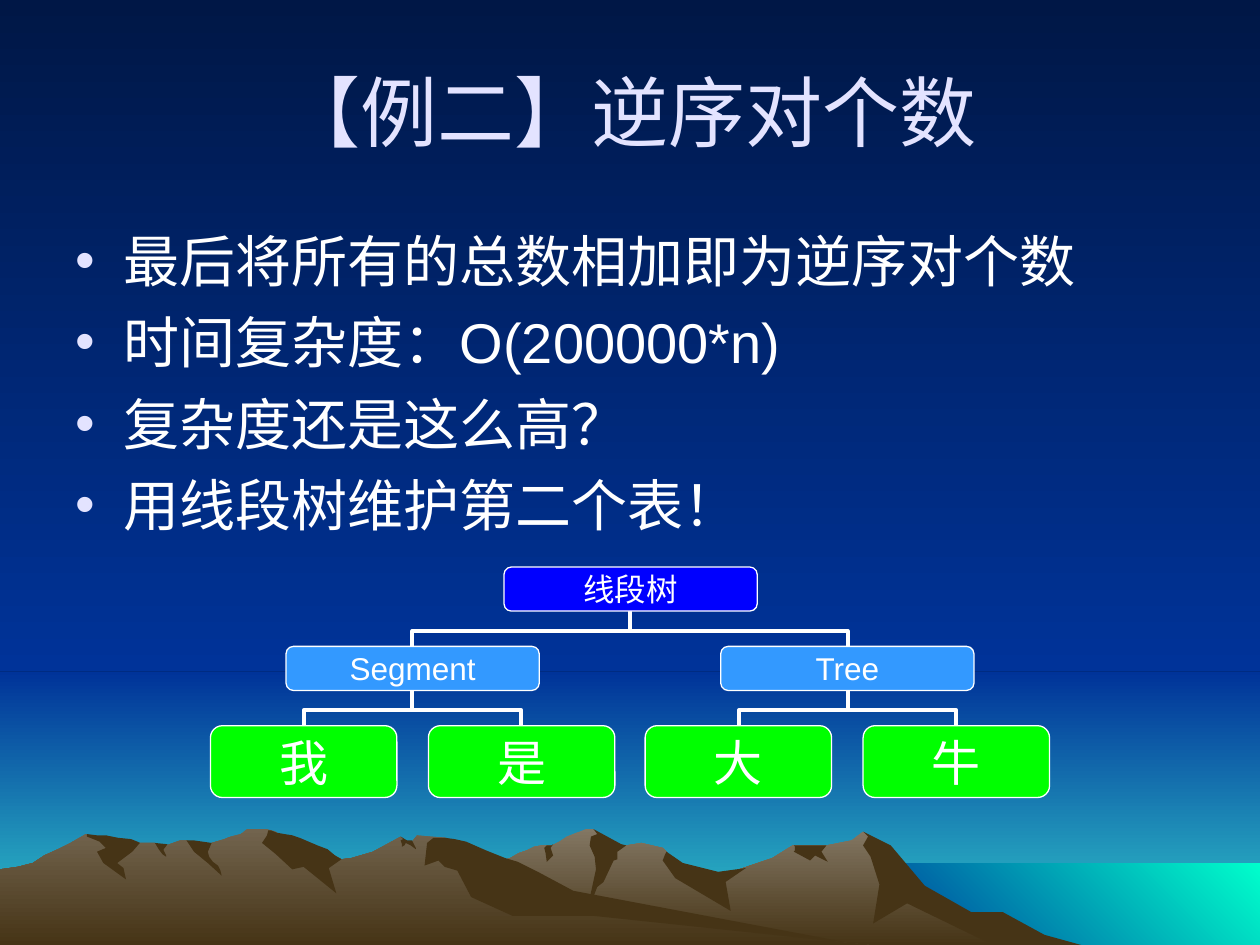
from dataclasses import dataclass

from lxml.etree import SubElement
from pptx import Presentation
from pptx.dml.color import RGBColor
from pptx.enum.shapes import MSO_CONNECTOR, MSO_SHAPE
from pptx.enum.text import MSO_ANCHOR, PP_ALIGN
from pptx.oxml.ns import qn
from pptx.util import Pt

PX = 9144  # EMU per px, 100 px to the inch


@dataclass(frozen=True)
class Theme:
    font: str = "Arial"
    title_size: int = 44
    body_size: int = 32
    branch_size: int = 18
    leaf_size: int = 28
    title: str = "E3E3FF"
    text: str = "FFFFFF"
    root: str = "0000FF"
    branch: str = "3399FF"
    leaf: str = "00FF00"
    night: tuple = ("001746", "003399")
    dusk: tuple = ("003399", "33CCCC")
    sea: tuple = ("00FFCC", "003399")
    far_rock: tuple = ("837763", "463416")
    near_rock: tuple = ("72644E", "463416")
    shade: str = "463416"


THEME = Theme()

FAR_RIDGE = """802,740 778,727 764,723 723,698 702,671 685,660 676,667 656,671 629,671 613,681 566,697
    536,690 529,676 526,673 509,669 497,671 486,673 474,661 471,658 465,658 450,664 444,668 438,671
    430,671 424,672 418,675 412,677 405,681 399,683 394,685 355,698 327,709 277,739 258,750 820,750"""
FAR_SHADES = [
    """796,724 771,724 734,703 707,671 685,660 689,664 685,671 691,680 698,702 693,733 720,717
    788,750 858,750 829,742""",
    """471,658 474,662 469,664 468,671 472,680 473,690 465,727 474,704 479,700 487,683 490,682
    490,676 497,671 493,670""",
    "529,676 528,678 526,683 536,697 580,723 576,700 592,689 570,692 542,685",
    "650,671 630,671 631,672 631,675 630,676 643,683 647,679 657,684 652,676 656,671",
    "433,677 432,673 434,671 438,671 439,670 437,673 439,679 434,684",
]
NEAR_RIDGE = """690,750 667,748 432,712 354,665 331,663 327,668 323,668 318,664 296,676 279,681 271,682
    260,676 236,681 223,663 219,660 212,658 196,658 191,662 183,664 178,666 168,669 160,671 148,667
    143,667 132,671 128,671 123,669 111,669 94,671 68,662 56,669 46,674 35,679 26,685 14,688 0,690
    0,750"""
NEAR_SHADES = [
    """212,663 208,669 219,678 232,690 241,688 267,709 261,689 271,682 266,679 260,674 252,671
    245,668 238,665 232,663 226,662 220,661 215,659 213,659""",
    """370,668 361,666 354,665 344,665 339,669 337,687 348,683 353,688 363,691 374,712 407,727
    472,727 690,750 683,750 455,707 427,692 411,684 401,681 386,675""",
    """318,667 320,666 318,664 323,667 327,667 330,673 330,674 326,671 322,669 321,671 319,672
    319,670""",
    """154,667 161,668 168,669 165,676 166,680 169,684 173,687 175,691 176,695 165,685 154,676
    148,667""",
    "133,670 130,674 130,675 132,679 132,680 129,678 126,674 123,669",
    """109,668 111,669 105,676 93,685 98,689 100,698 82,685 77,676 84,673 79,668 69,664 69,662
    77,663 84,663 94,665 104,666""",
]

TITLE = "【例二】逆序对个数"
POINTS = [
    "最后将所有的总数相加即为逆序对个数",
    "时间复杂度：O(200000*n)",
    "复杂度还是这么高？",
    "用线段树维护第二个表！",
]
TREE_LEVELS = [
    dict(labels=["线段树"], top=0, width=201, height=35, color=THEME.root, size=THEME.branch_size),
    dict(labels=["Segment", "Tree"], top=63, width=201, height=35, color=THEME.branch,
         size=THEME.branch_size),
    dict(labels=["我", "是", "大", "牛"], top=126, width=148, height=57, color=THEME.leaf,
         size=THEME.leaf_size),
]


def apply_format(target, **values):
    for name, value in values.items():
        setattr(target, name, value)


def paint(fill, color, angle=270):
    """Fill with one colour, or with a pair as a linear gradient."""
    if isinstance(color, str):
        fill.solid()
        fill.fore_color.rgb = RGBColor.from_string(color)
        return
    fill.gradient()
    fill.gradient_angle = angle
    for stop, stop_color in zip(fill.gradient_stops, color):
        stop.color.rgb = RGBColor.from_string(stop_color)


def add_preset(slide, kind, box, color, angle=270):
    shape = slide.shapes.add_shape(kind, *(round(length) * PX for length in box))
    shape.shadow.inherit = False
    shape.line.fill.background()
    paint(shape.fill, color, angle)
    return shape


def write(paragraph, text, size, color):
    run = paragraph.add_run()
    run.text = text
    apply_format(run.font, name=THEME.font, size=Pt(size))
    run.font.color.rgb = RGBColor.from_string(color)


def add_outline(slide, box, outline, color):
    """Draw a closed outline whose points count from the corner of the box."""
    points = [tuple(map(int, pair.split(","))) for pair in outline.split()]
    builder = slide.shapes.build_freeform(*points[0], scale=PX)
    builder.add_line_segments(points[1:], close=True)
    shape = builder.convert_to_shape(box[0] * PX, box[1] * PX)
    shape.shadow.inherit = False
    shape.line.fill.background()
    paint(shape.fill, color)


def add_landscape(slide, box):
    left, top, width, height = box
    horizon, shore, sea_top = 533, 683, 685
    bands = [
        ((left, top + horizon, width, height - horizon), THEME.dusk, 270),
        ((left, top, width, horizon), THEME.night, 270),
        ((left + shore, top + sea_top, width - shore, height - sea_top), THEME.sea, 225),
    ]
    for band, color, angle in bands:
        add_preset(slide, MSO_SHAPE.RECTANGLE, band, color, angle)
    ranges = [(FAR_RIDGE, THEME.far_rock, FAR_SHADES), (NEAR_RIDGE, THEME.near_rock, NEAR_SHADES)]
    for ridge, color, shades in ranges:
        add_outline(slide, box, ridge, color)
        for shade in shades:
            add_outline(slide, box, shade, THEME.shade)


def add_text_frame(slide, box, anchor):
    text_frame = slide.shapes.add_textbox(*(length * PX for length in box)).text_frame
    apply_format(text_frame, word_wrap=True, vertical_anchor=anchor)
    return text_frame


def add_title(slide, box):
    paragraph = add_text_frame(slide, box, MSO_ANCHOR.MIDDLE).paragraphs[0]
    paragraph.alignment = PP_ALIGN.CENTER
    write(paragraph, TITLE, THEME.title_size, THEME.title)


def add_bullets(slide, box):
    text_frame = add_text_frame(slide, box, MSO_ANCHOR.TOP)
    for index, text in enumerate(POINTS):
        paragraph = text_frame.add_paragraph() if index else text_frame.paragraphs[0]
        paragraph.space_before = Pt(8)
        properties = paragraph._p.get_or_add_pPr()
        properties.set("marL", str(38 * PX))
        properties.set("indent", str(-38 * PX))
        bullet_color = SubElement(properties, qn("a:buClr"))
        SubElement(bullet_color, qn("a:srgbClr"), val=THEME.title)
        SubElement(properties, qn("a:buFont"), typeface=THEME.font)
        SubElement(properties, qn("a:buChar"), char="•")
        write(paragraph, text, THEME.body_size, THEME.text)


def add_branch(slide, child, parent):
    """Join the top of a child to the bottom of its parent with a turned elbow."""
    (child_x, child_y), (parent_x, parent_y) = child, parent
    middle_x, middle_y = (child_x + parent_x) / 2, (child_y + parent_y) / 2
    half_drop, half_span = (child_y - parent_y) / 2, abs(child_x - parent_x) / 2
    on_right = child_x > parent_x
    run = half_drop if on_right else -half_drop
    ends = (middle_x - run, middle_y + half_span, middle_x + run, middle_y - half_span)
    connector = slide.shapes.add_connector(
        MSO_CONNECTOR.ELBOW, *(round(length * PX) for length in ends))
    properties = connector._element.spPr
    properties.find(qn("a:xfrm")).set("rot", str((270 if on_right else 90) * 60000))
    adjustments = properties.find(qn("a:prstGeom")).get_or_add_avLst()
    SubElement(adjustments, qn("a:gd"), name="adj1", fmla="val 43800")
    connector.line.width = Pt(2.25)
    connector.line.color.rgb = RGBColor.from_string(THEME.text)
    SubElement(properties, qn("a:effectLst"))


def add_node(slide, box, label, color, size):
    shape = add_preset(slide, MSO_SHAPE.ROUNDED_RECTANGLE, box, color)
    shape.line.width = Pt(0.75)
    shape.line.color.rgb = RGBColor.from_string(THEME.text)
    text_frame = shape.text_frame
    apply_format(text_frame, word_wrap=False, vertical_anchor=MSO_ANCHOR.MIDDLE,
                 margin_left=0, margin_top=0, margin_right=0, margin_bottom=0)
    paragraph = text_frame.paragraphs[0]
    paragraph.alignment = PP_ALIGN.CENTER
    write(paragraph, label, size, THEME.text)


def add_tree(slide, box):
    left, top, width, _ = box
    leaves = TREE_LEVELS[-1]
    leaf_count = len(leaves["labels"])
    pitch = (width - leaves["width"]) / (leaf_count - 1)

    def center(level, index):
        slot = (index + 0.5) * leaf_count / len(level["labels"]) - 0.5
        return left + leaves["width"] / 2 + slot * pitch

    for parent, level in zip(TREE_LEVELS, TREE_LEVELS[1:]):
        for index in range(len(level["labels"])):
            add_branch(slide, (center(level, index), top + level["top"]),
                       (center(parent, index // 2), top + parent["top"] + parent["height"]))
    for level in TREE_LEVELS:
        for index, label in enumerate(level["labels"]):
            node = (center(level, index) - level["width"] / 2, top + level["top"],
                    level["width"], level["height"])
            add_node(slide, node, label, level["color"], level["size"])


def main():
    presentation = Presentation()
    apply_format(presentation, slide_width=1000 * PX, slide_height=750 * PX)
    slide = presentation.slides.add_slide(presentation.slide_layouts[6])
    paint(slide.background.fill, THEME.night)
    add_landscape(slide, (0, 0, 1000, 750))
    add_title(slide, (50, 25, 900, 125))
    add_bullets(slide, (50, 175, 900, 492))
    add_tree(slide, (167, 450, 666, 183))
    presentation.save("out.pptx")


if __name__ == "__main__":
    main()
